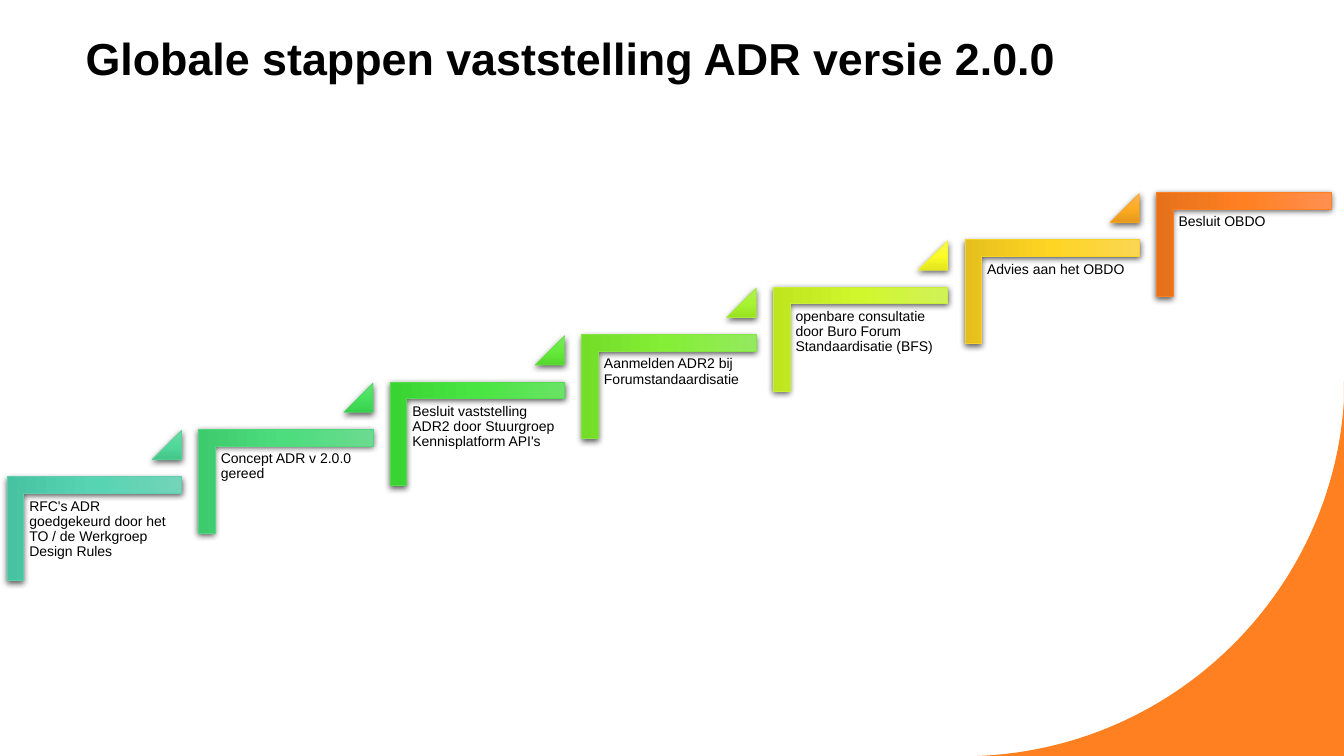
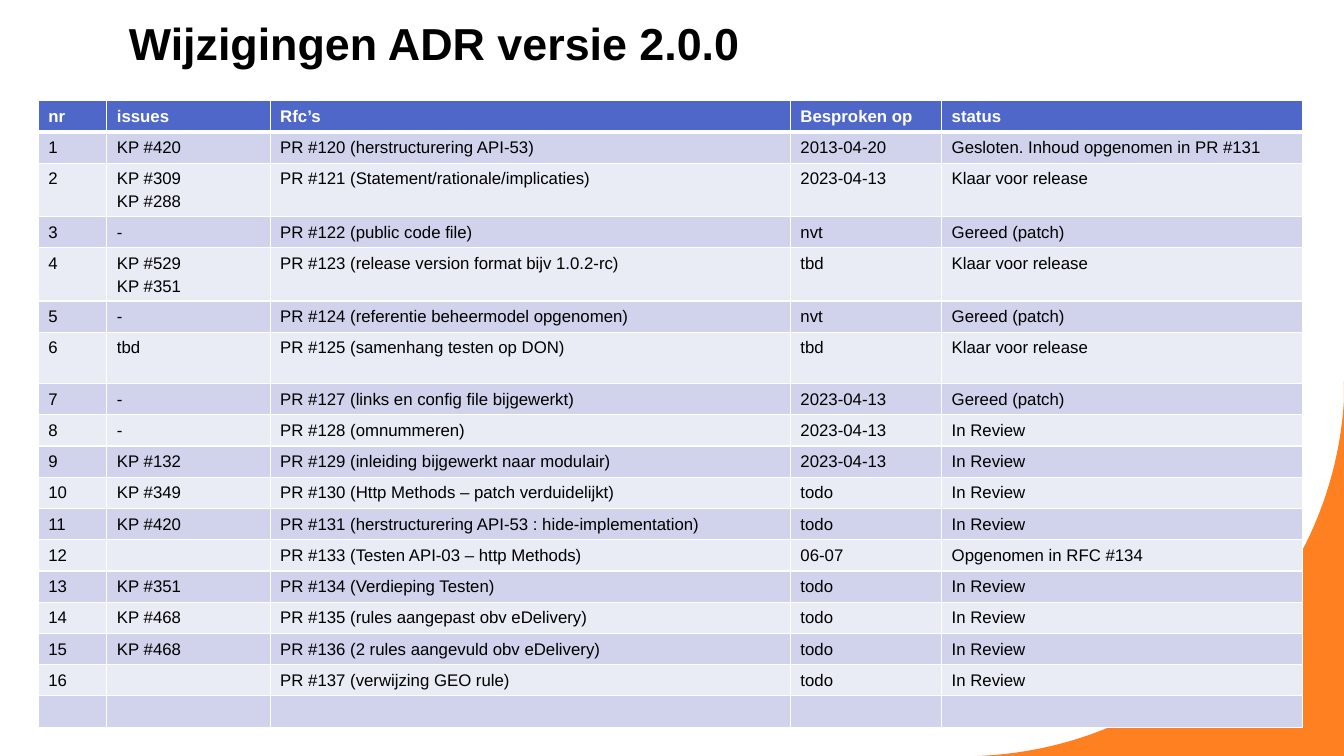
from dataclasses import dataclass

from lxml import etree
from pptx import Presentation
from pptx.dml.color import RGBColor
from pptx.enum.shapes import MSO_SHAPE
from pptx.enum.text import MSO_ANCHOR
from pptx.oxml.ns import qn
from pptx.util import Inches, Pt

CORNER = MSO_SHAPE.CORNER
WEDGE = MSO_SHAPE.ISOSCELES_TRIANGLE
BOTTOM = MSO_ANCHOR.BOTTOM
TOP = MSO_ANCHOR.TOP


@dataclass(frozen=True)
class Theme:
    font: str = "Arial"
    wide: float = 13.33
    high: float = 7.5
    ink: str = "000000"
    paper: str = "FFFFFF"
    accent: str = "FF8021"
    head: str = "4E67C8"
    bands: tuple = ("D0D3EB", "E9EBF5")
    title: int = 32
    cell: int = 12
    note: int = 10


THEME = Theme()

STEPS = [
    ("RFC's ADR goedgekeurd door het TO / de Werkgroep Design Rules",
     "73D4B8 57D4B2 47C3A1 5DCEAF", "6FD8A4 52D89A 42C789 58D299"),
    ("Concept ADR v 2.0.0 gereed",
     "6CDB8F 4DDC7E 3DCB6E 53D680", "68DF78 48E15F 38D04F 4EDA64"),
    ("Besluit vaststelling ADR2 door Stuurgroep Kennisplatform API's",
     "69E365 49E542 39D432 50DE4A", "7CE762 65EA3D 55D92D 69E245"),
    ("Aanmelden ADR2 bij Forumstandaardisatie",
     "94EA5F 85EE37 74DD28 86E640", "B0EE5C A8F332 98E222 A6EA3B"),
    ("openbare consultatie door Buro Forum Standaardisatie (BFS)",
     "D1F259 D0F72C BEE51E CAEE36", "F6F657 FBFC27 E4E51D F2F230"),
    ("Advies aan het OBDO",
     "FAD654 FFD523 E5BF1D F6D02B", "FEB352 FFAB22 E5981C FBAA26"),
    ("Besluit OBDO", "FF8F51 FF8021 E5711B FF8021", None),
]

COLS = [0.68, 1.62, 5.16, 1.5, 3.58]
ROW = 0.31
TALL = {6: 0.51}
ROWS = [
    ("nr", "issues", "Rfc’s", "Besproken op", "status"),
    ("1", "KP #420", "PR #120 (herstructurering API-53)", "2013-04-20",
     "Gesloten. Inhoud opgenomen in PR #131"),
    ("2", "KP #309\nKP #288", "PR #121 (Statement/rationale/implicaties)",
     "2023-04-13", "Klaar voor release"),
    ("3", "-", "PR #122 (public code file)", "nvt", "Gereed (patch)"),
    ("4", "KP #529\nKP #351", "PR #123 (release version format bijv 1.0.2-rc)",
     "tbd", "Klaar voor release"),
    ("5", "-", "PR #124 (referentie beheermodel opgenomen)", "nvt",
     "Gereed (patch)"),
    ("6", "tbd", "PR #125 (samenhang testen op DON)", "tbd",
     "Klaar voor release"),
    ("7", "-", "PR #127 (links en config file bijgewerkt)", "2023-04-13",
     "Gereed (patch)"),
    ("8", "-", "PR #128 (omnummeren)", "2023-04-13", "In Review"),
    ("9", "KP #132", "PR #129 (inleiding bijgewerkt naar modulair)",
     "2023-04-13", "In Review"),
    ("10", "KP #349", "PR #130 (Http Methods – patch verduidelijkt)", "todo",
     "In Review"),
    ("11", "KP #420", "PR #131 (herstructurering API-53 : hide-implementation)",
     "todo", "In Review"),
    ("12", "", "PR #133 (Testen API-03 – http Methods)", "06-07",
     "Opgenomen in RFC #134"),
    ("13", "KP #351", "PR #134 (Verdieping Testen)", "todo", "In Review"),
    ("14", "KP #468", "PR #135 (rules aangepast obv eDelivery)", "todo",
     "In Review"),
    ("15", "KP #468", "PR #136 (2 rules aangevuld obv eDelivery)", "todo",
     "In Review"),
    ("16", "", "PR #137 (verwijzing GEO rule)", "todo", "In Review"),
    ("", "", "", "", ""),
]


def rgb(code):
    return RGBColor.from_string(code)


def node(root, tag, **attrs):
    part = etree.SubElement(root, qn(tag))
    for key, value in attrs.items():
        part.set(key, str(value))
    return part


def add_run(para, text, size, color=THEME.ink, bold=False):
    run = para.add_run()
    run.text = text
    font = run.font
    font.name, font.size, font.bold = THEME.font, Pt(size), bold
    font.color.rgb = rgb(color)


def add_text(slide, box, text, size, bold=False, anchor=TOP, inset=None,
             space=1.0, after=0):
    frame = slide.shapes.add_textbox(*map(Inches, box)).text_frame
    frame.word_wrap = True
    frame.vertical_anchor = anchor
    if inset is not None:
        frame.margin_left = frame.margin_right = Inches(inset)
        frame.margin_top = frame.margin_bottom = Inches(inset)
    para = frame.paragraphs[0]
    para.line_spacing = space
    para.space_after = Pt(after)
    add_run(para, text, size, bold=bold)


def add_curve(slide, box):
    left, top, wide, high = box
    ends = [(0.02, 1), (0.55, 0.98), (0.97, 0.56), (1, 0.05)]
    count = 60
    points = [(1, 0), (1, 1), (0, 1)]
    for i in range(count + 1):
        t = i / count
        mix = [(1 - t) ** 3, 3 * t * (1 - t) ** 2, 3 * t * t * (1 - t), t ** 3]
        points.append(tuple(sum(m * p[k] for m, p in zip(mix, ends))
                            for k in (0, 1)))
    spots = [(Inches(left + x * wide), Inches(top + y * high))
             for x, y in points]
    pen = slide.shapes.build_freeform(*spots[0])
    pen.add_line_segments(spots[1:], close=True)
    shape = pen.convert_to_shape()
    shape.shadow.inherit = False
    shape.fill.solid()
    shape.fill.fore_color.rgb = rgb(THEME.accent)
    shape.line.fill.background()


def add_page(deck, title, box):
    slide = deck.slides.add_slide(deck.slide_layouts[6])
    side = 3.71
    add_curve(slide, (THEME.wide - side, THEME.high - side - 0.01, side,
                      side + 0.01))
    add_text(slide, box, title, THEME.title, True, BOTTOM, space=1.1)
    return slide


def add_gloss(slide, kind, box, colors, adjust):
    *stops, edge = colors.split()
    shape = slide.shapes.add_shape(kind, *map(Inches, box))
    for i, value in enumerate(adjust):
        shape.adjustments[i] = value
    shape.fill.gradient()
    shape.fill.gradient_angle = 270
    shape.line.color.rgb = rgb(edge)
    shape.line.width = Pt(0.5)
    shape.shadow.inherit = False
    props = shape.fill._xPr
    ramp = props.find(".//" + qn("a:gsLst"))
    for stop in list(ramp):
        ramp.remove(stop)
    for i, color in enumerate(stops):
        node(node(ramp, "a:gs", pos=i * 50000), "a:srgbClr", val=color)
    shade = node(props.find(qn("a:effectLst")), "a:outerShdw",
                 blurRad=Pt(4.5), dist=Pt(1.5), dir=5400000, rotWithShape=0)
    node(node(shade, "a:srgbClr", val=THEME.ink), "a:alpha", val=63000)
    return shape


def add_step(slide, left, top, step):
    text, bar, wedge = step
    wide, high = 1.73, 1.03
    shift = (wide - high) / 2
    shape = add_gloss(slide, CORNER, (left + shift, top - shift, high, wide),
                      bar, (0.16, 0.16))
    shape.rotation = 90
    add_text(slide, (left + 0.18, top + 0.18, 1.55, 1.36), text, THEME.note,
             inset=0.04, space=0.9, after=3.5)
    if wedge:
        add_gloss(slide, WEDGE, (left + 1.44, top - 0.46, 0.29, 0.29),
                  wedge, (1,))


def add_stairs(slide, left, base, run, rise):
    for i, step in enumerate(STEPS):
        add_step(slide, left + i * run, base - i * rise, step)


def fill_cell(cell, text, fill, color, bold):
    props = cell._tc.get_or_add_tcPr()
    for side in "LRTB":
        width = 3 if bold and side == "B" else 1
        line = node(props, "a:ln" + side, w=Pt(width))
        node(node(line, "a:solidFill"), "a:srgbClr", val=THEME.paper)
    cell.fill.solid()
    cell.fill.fore_color.rgb = rgb(fill)
    frame = cell.text_frame
    for i, part in enumerate(text.split("\n")):
        para = frame.add_paragraph() if i else frame.paragraphs[0]
        para.line_spacing = Pt(14.4)
        para.space_before = para.space_after = Pt(1)
        if part:
            add_run(para, part, THEME.cell, color, bold)
        else:
            node(para._p, "a:endParaRPr", sz=THEME.cell * 100)


def add_grid(slide, left, top):
    box = (left, top, sum(COLS), ROW * len(ROWS))
    table = slide.shapes.add_table(len(ROWS), len(COLS),
                                   *map(Inches, box)).table
    for col, width in zip(table.columns, COLS):
        col.width = Inches(width)
    for r, texts in enumerate(ROWS):
        table.rows[r].height = Inches(TALL.get(r, ROW))
        head = r == 0
        fill = THEME.head if head else THEME.bands[(r - 1) % 2]
        color = THEME.paper if head else THEME.ink
        for c, text in enumerate(texts):
            fill_cell(table.cell(r, c), text, fill, color, head)


def main():
    deck = Presentation()
    deck.slide_width = Inches(THEME.wide)
    deck.slide_height = Inches(THEME.high)
    stairs = add_page(deck, "Globale stappen vaststelling ADR versie 2.0.0",
                      (0.75, 0.08, 10.88, 0.81))
    add_stairs(stairs, 0.07, 4.73, 1.9, 0.47)
    grid = add_page(deck, "Wijzigingen ADR versie 2.0.0",
                    (1.18, 0, 10.88, 0.74))
    add_grid(grid, 0.38, 1)
    deck.save("out.pptx")


if __name__ == "__main__":
    main()
